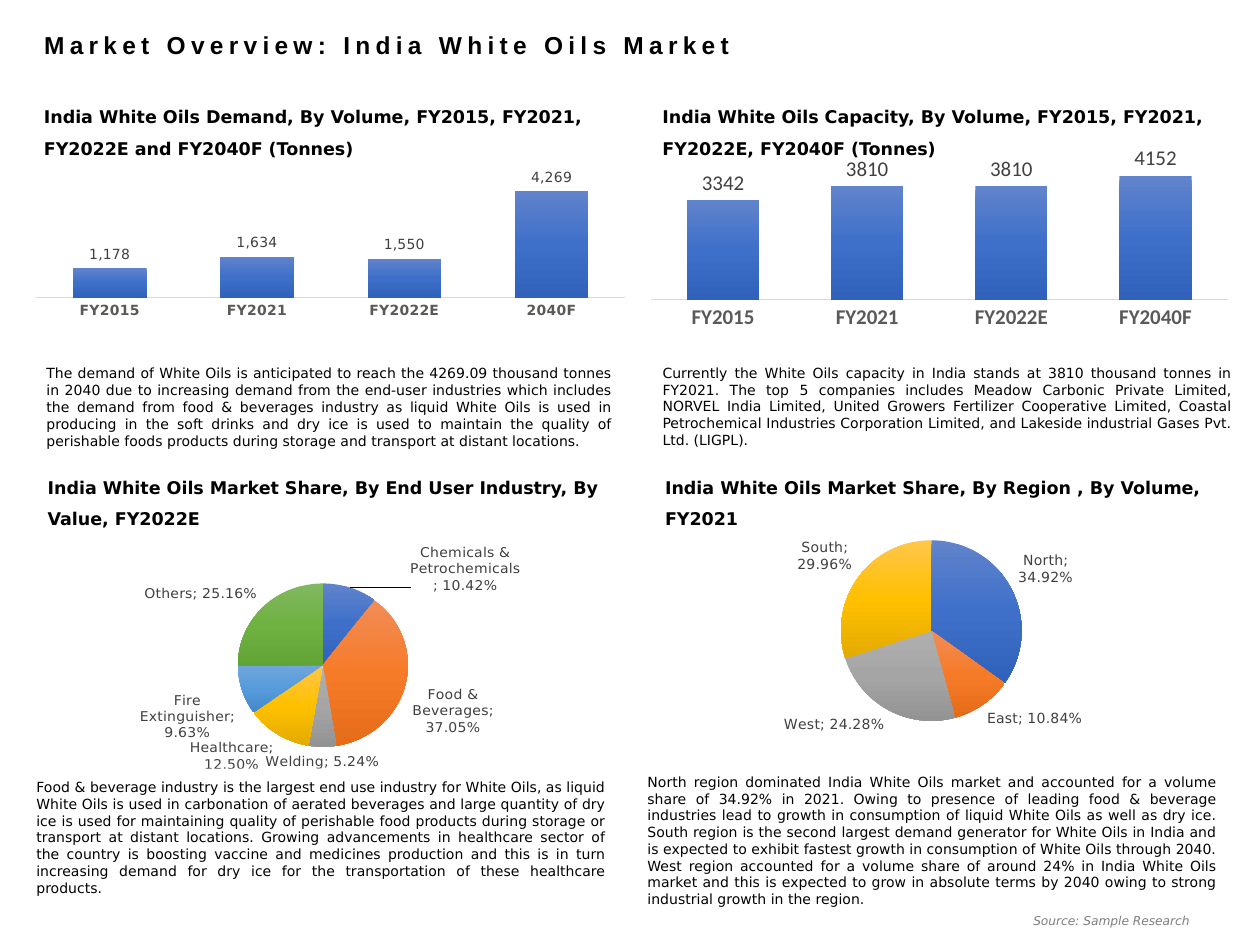
from copy import deepcopy
from lxml.etree import SubElement
from pptx import Presentation
from pptx.chart.data import CategoryChartData
from pptx.dml.color import RGBColor
from pptx.enum.chart import XL_CHART_TYPE as ChartType, XL_LABEL_POSITION as LabelPosition
from pptx.enum.chart import XL_TICK_MARK as TickMark
from pptx.enum.shapes import MSO_SHAPE as Preset
from pptx.enum.text import MSO_ANCHOR as Anchor, MSO_AUTO_SIZE as AutoSize, PP_ALIGN as Align
from pptx.oxml.ns import qn
from pptx.util import Inches, Pt

COLUMNS, ROWS = 100, 75
WIDTH, HEIGHT = Inches(10), Inches(7.5)
COLORS = {"black": "000000", "white": "FFFFFF", "axis": "595959", "label": "404040",
          "line": "D9D9D9", "source": "7F7F7F"}
GRADIENTS = {"blue": ("6183CB", "3E70CA", "3062BB"), "orange": ("F18C57", "F67B28", "E56C19"),
             "gray": ("AFAFAF", "A5A5A5", "939393"), "yellow": ("FFC64B", "FFC000", "E3AB00"),
             "sky": ("71A6DB", "559BDB", "448ACA"), "green": ("81B861", "6FB242", "62A336")}
SANS = "DejaVu Sans"


def color(name):
    """Return the named colour."""
    return RGBColor.from_string(COLORS[name])


def place(box, origin=(0, 0)):
    """Turn a box in grid columns and rows into slide lengths."""
    left, top, width, height = box
    return (int(WIDTH * (origin[0] + left) / COLUMNS), int(HEIGHT * (origin[1] + top) / ROWS),
            int(WIDTH * width / COLUMNS), int(HEIGHT * height / ROWS))


def format_font(font, size, name=SANS, ink="black", bold=False, italic=False):
    """Set the look of a font."""
    font.size, font.name, font.bold, font.italic = Pt(size), name, bold, italic
    font.color.rgb = color(ink)


def write(shape, text, align=Align.LEFT, anchor=Anchor.TOP, spacing=None, tracking=None, **font):
    """Fill a shape with one formatted paragraph."""
    frame = shape.text_frame
    frame.word_wrap, frame.auto_size, frame.vertical_anchor = True, AutoSize.NONE, anchor
    paragraph = frame.paragraphs[0]
    paragraph.alignment, paragraph.line_spacing = align, spacing
    run = paragraph.add_run()
    run.text = text
    format_font(run.font, **font)
    if tracking:
        run._r.get_or_add_rPr().set("spc", str(tracking * 100))


def paint_gradient(fill, shades):
    """Fill from top to bottom with three shades."""
    fill.gradient()
    fill.gradient_angle = 270
    first = fill.gradient_stops[0]._gs
    first.addnext(deepcopy(first))
    for stop, shade, position in zip(fill.gradient_stops, shades, (0, 0.5, 1)):
        stop.color.rgb = RGBColor.from_string(shade)
        stop.position = position


def set_layout(parent, index, **values):
    """Put a manual layout into a chart element."""
    for old in parent.findall(qn("c:layout")):
        parent.remove(old)
    layout = parent.makeelement(qn("c:layout"), {})
    parent.insert(index, layout)
    manual = SubElement(layout, qn("c:manualLayout"))
    for tag, value in values.items():
        SubElement(manual, qn(f"c:{tag}"), val=str(value))


def add_chart(slide, box, kind, values, plot_area, font_name, font_size):
    """Add a plain chart whose inner plot area is fixed."""
    data = CategoryChartData()
    data.categories = list(values)
    data.add_series("Series 1", list(values.values()))
    chart = slide.shapes.add_chart(kind, *box, data).chart
    chart.has_title = chart.has_legend = False
    format_font(chart.font, font_size, font_name)
    x, y, w, h = plot_area
    set_layout(chart._chartSpace.chart.plotArea, 0, layoutTarget="inner", xMode="edge",
               yMode="edge", x=x, y=y, w=w, h=h)
    return chart


def label_series(series, number_format, size, name=SANS):
    """Show values outside the ends and return the labels."""
    labels = series.data_labels
    labels.show_value = True
    labels.number_format, labels.number_format_is_linked = number_format, False
    labels.position = LabelPosition.OUTSIDE_END
    format_font(labels.font, size, name, "label")
    return labels


def column_chart(slide, box, values, plot_area, number_format="0", font_name=SANS,
                 label_size=8):
    """Draw gradient columns on a bare category axis."""
    chart = add_chart(slide, box, ChartType.COLUMN_CLUSTERED, values, plot_area,
                      font_name, label_size)
    plot = chart.plots[0]
    plot.gap_width, plot.overlap, plot.vary_by_categories = 100, -24, False
    paint_gradient(plot.series[0].format.fill, GRADIENTS["blue"])
    label_series(plot.series[0], number_format, label_size, font_name)
    value_axis, category_axis = chart.value_axis, chart.category_axis
    value_axis.visible = value_axis.has_major_gridlines = False
    value_axis.minimum_scale, value_axis.maximum_scale = 0, 4500
    category_axis.major_tick_mark = category_axis.minor_tick_mark = TickMark.NONE
    category_axis.format.line.color.rgb = color("line")
    category_axis.format.line.width = Pt(1)
    format_font(category_axis.tick_labels.font, label_size, font_name, "axis", bold=True)


def pie_chart(slide, box, values, plot_area, first_label_shift=None):
    """Draw a gradient pie labelled with category and share."""
    chart = add_chart(slide, box, ChartType.PIE, values, plot_area, SANS, 8)
    plot = chart.plots[0]
    plot.vary_by_categories = True
    series = plot.series[0]
    for index, shades in zip(range(len(values)), GRADIENTS.values()):
        paint_gradient(series.points[index].format.fill, shades)
    labels = label_series(series, "0.00%", 8)
    labels.show_category_name, labels.show_percentage = True, False
    element = labels._element
    separator = element.makeelement(qn("c:separator"), {})
    separator.text = "; "
    flags = [child for child in element if child.tag.startswith(qn("c:show"))
             and child.tag != qn("c:showLeaderLines")]
    flags[-1].addnext(separator)
    if first_label_shift:
        children = [deepcopy(child) for child in element if child.tag != qn("c:showLeaderLines")]
        label = element.makeelement(qn("c:dLbl"), {})
        element.insert(0, label)
        SubElement(label, qn("c:idx"), val="0")
        set_layout(label, 1, x=first_label_shift[0], y=first_label_shift[1])
        label.extend(children)


def panel(slide, origin, heading, heading_box, draw, chart_box, values, body, body_box, **options):
    """Place a heading, a chart and a commentary from the panel's origin."""
    write(slide.shapes.add_textbox(*place(heading_box, origin)), heading,
          spacing=1.5, size=10, bold=True)
    draw(slide, place(chart_box, origin), values, **options)
    shape = slide.shapes.add_shape(Preset.RECTANGLE, *place(body_box, origin))
    shape.shadow.inherit = False
    shape.fill.solid()
    shape.fill.fore_color.rgb = color("white")
    shape.line.fill.background()
    write(shape, body, Align.JUSTIFY, Anchor.MIDDLE, size=8)


def title_and_source(slide):
    """Place the slide title and the source note."""
    title = slide.shapes.title
    title.left, title.top, title.width, title.height = place((2.5, 1.9, 68.8, 3.2))
    write(title, "Market Overview: India White Oils Market", anchor=Anchor.MIDDLE,
          spacing=Pt(17), tracking=3, size=14, name="Arial", bold=True)
    write(slide.shapes.add_textbox(*place((71.3, 72, 24.1, 2.2))), "Source: Sample Research",
          Align.RIGHT, size=7, ink="source", italic=True)


def main():
    """Build the slide and save it."""
    presentation = Presentation()
    presentation.slide_width, presentation.slide_height = WIDTH, HEIGHT
    slide = presentation.slides.add_slide(presentation.slide_layouts[5])
    left, right, upper, lower = 2, 51, 7, 36.5
    panel(slide, (left, upper),
          "India White Oils Demand, By Volume, FY2015, FY2021, FY2022E and FY2040F (Tonnes)",
          (0.5, 0.1, 45.9, 5.7), column_chart, (0.8, 6, 46.9, 15.4),
          {"FY2015": 1178, "FY2021": 1634, "FY2022E": 1550, "2040F": 4269},
          "The demand of White Oils is anticipated to reach the 4269.09 thousand tonnes in 2040 due to increasing demand from the end-user industries which includes the demand from food & beverages industry as liquid White Oils is used in producing in the soft drinks and dry ice is used to maintain the quality of perishable foods products during storage and transport at distant locations.",
          (0.7, 19.6, 46.9, 11.4), plot_area=(0, 0.11, 1, 0.58), number_format="#,##0")
    panel(slide, (right, upper),
          "India White Oils Capacity, By Volume, FY2015, FY2021, FY2022E, FY2040F (Tonnes)",
          (0.6, 0.1, 48.4, 5.7), column_chart, (0.6, 3, 45.9, 22.6),
          {"FY2015": 3342, "FY2021": 3810, "FY2022E": 3810, "FY2040F": 4152},
          "Currently the White Oils capacity in India stands at 3810 thousand tonnes in FY2021. The top 5 companies includes Meadow Carbonic Private Limited, NORVEL India Limited, United Growers Fertilizer Cooperative Limited, Coastal Petrochemical Industries Corporation Limited, and Lakeside industrial Gases Pvt. Ltd. (LIGPL).",
          (0.6, 20.4, 47.2, 9.7), plot_area=(0, 0.14, 1, 0.47), font_name="Calibri", label_size=12)
    panel(slide, (left, lower),
          "India White Oils Market Share, By End User Industry, By Value, FY2022E",
          (0.8, 0, 46.9, 5.7), pie_chart, (0.1, 5.7, 45.7, 21.4),
          {"Chemicals & Petrochemicals": 0.1042, "Food & Beverages": 0.3705, "Welding": 0.0524,
           "Healthcare": 0.125, "Fire Extinguisher": 0.0963, "Others": 0.2516},
          "Food & beverage industry is the largest end use industry for White Oils, as liquid White Oils is used in carbonation of aerated beverages and large quantity of dry ice is used for maintaining quality of perishable food products during storage or transport at distant locations. Growing advancements in healthcare sector of the country is boosting vaccine and medicines production and this is in turn increasing demand for dry ice for the transportation of these healthcare products.",
          (-0.1, 24.5, 47.2, 10.9), plot_area=(0.19, 0.16, 0.65, 0.63),
          first_label_shift=(0.1, 0.05))
    panel(slide, (right, lower),
          "India White Oils Market Share, By Region , By Volume, FY2021",
          (0.8, 0, 46.9, 5.7), pie_chart, (1.6, 5.1, 41.4, 21.4),
          {"North": 0.3492, "East": 0.1084, "West": 0.2428, "South": 0.2996},
          "North region dominated India White Oils market and accounted for a volume share of 34.92% in 2021. Owing to presence of leading food & beverage industries lead to growth in consumption of liquid White Oils as well as dry ice. South region is the second largest demand generator for White Oils in India and is expected to exhibit fastest growth in consumption of White Oils through 2040. West region accounted for a volume share of around 24% in India White Oils market and this is expected to grow in absolute terms by 2040 owing to strong industrial growth in the region.",
          (-0.6, 24.5, 47.2, 11.4), plot_area=(0.19, 0.06, 0.65, 0.67))
    title_and_source(slide)
    presentation.save("out.pptx")


if __name__ == "__main__":
    main()
